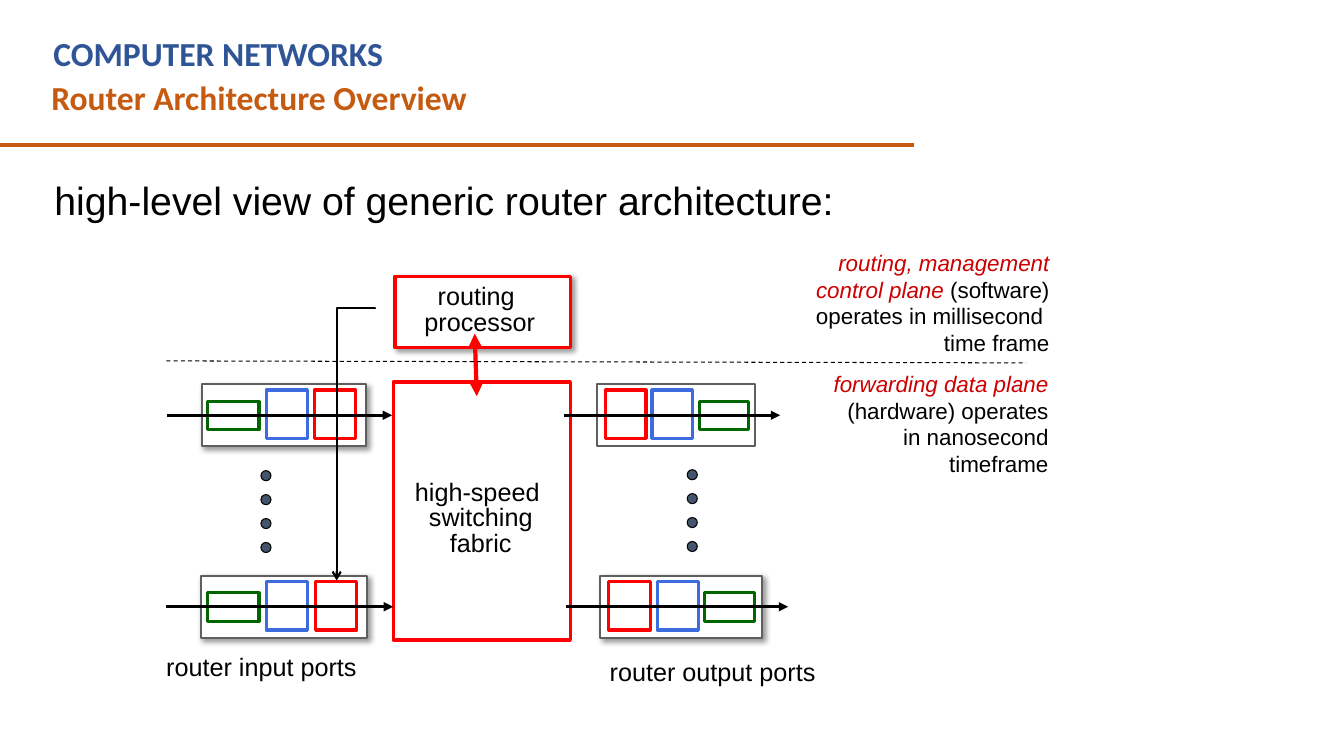
"""Build the router architecture overview slide."""
from dataclasses import dataclass

import lxml.etree
import pptx
import pptx.dml.color
import pptx.enum.dml
import pptx.enum.shapes
import pptx.enum.text
import pptx.oxml.ns
import pptx.shapes.autoshape
import pptx.shapes.connector
import pptx.slide
import pptx.text.text
import pptx.util

Pt = pptx.util.Pt
RGBColor = pptx.dml.color.RGBColor
Align = pptx.enum.text.PP_ALIGN
AutoShape = pptx.enum.shapes.MSO_SHAPE
ConnectorType = pptx.enum.shapes.MSO_CONNECTOR
qn = pptx.oxml.ns.qn

BLACK = RGBColor(0x00, 0x00, 0x00)
WHITE = RGBColor(0xFF, 0xFF, 0xFF)
ORANGE = RGBColor(0xC5, 0x5A, 0x11)
NAVY = RGBColor(0x2F, 0x55, 0x97)
RED = RGBColor(0xFF, 0x00, 0x00)
BLUE = RGBColor(0x3C, 0x6C, 0xDF)
GREEN = RGBColor(0x00, 0x66, 0x00)
GREY = RGBColor(0x5F, 0x5F, 0x5F)
SLATE = RGBColor(0x44, 0x54, 0x6A)
CRIMSON = RGBColor(0xCC, 0x00, 0x00)

DOT_SIZE = 7.2
DOT_STEP = 17.1


@dataclass(frozen=True)
class Box:
    left: float
    top: float
    width: float
    height: float


@dataclass(frozen=True)
class Phrase:
    text: str
    color: RGBColor = BLACK
    italic: bool = False


@dataclass(frozen=True)
class Caption:
    box: Box
    paragraphs: list[list[Phrase]]
    size: float = 18
    align: Align = Align.LEFT
    spacing: float = 1.0
    wrap: bool = False
    font: str = "Arial"
    bold: bool = False


@dataclass(frozen=True)
class Port:
    left: float
    top: float
    width: float
    green: float
    blue: float
    red: float
    green_width: float
    square_width: float
    arrow_start: float
    arrow_end: float
    shadow: bool = True


PORTS = [
    Port(144, 274.3, 117.4, 148.3, 190.1, 224.6, 36.7, 29.5, 119.5, 280.1),
    Port(143.3, 411.1, 118.8, 148.3, 190.1, 225.4, 36.7, 29.5, 118.8, 280.8),
    Port(426.2, 274.3, 113, 499.7, 465.8, 432.7, 35.3, 28.8, 403.2, 557.3, False),
    Port(428.4, 411.1, 115.9, 503.3, 469.4, 434.9, 36, 29.5, 404.6, 563),
]
DOT_COLUMNS = [(186.4, 336.2), (490.9, 335.5)]

HEADING = Caption(Box(31, 20.2, 590.4, 36), [[Phrase("COMPUTER NETWORKS", NAVY)]],
                  24, wrap=True, font="Calibri", bold=True)
TITLE = Caption(Box(29.5, 51.1, 630, 36), [[Phrase("Router Architecture Overview", ORANGE)]],
                24, wrap=True, font="Calibri", bold=True)
LEAD = Caption(Box(31.7, 122.4, 621.4, 41),
               [[Phrase("high-level view of generic router architecture:")]], 28, wrap=True)
FABRIC_LABEL = Caption(Box(288.7, 339.8, 109.4, 62.6),
                       [[Phrase("high-speed ")], [Phrase("switching")], [Phrase("fabric")]],
                       align=Align.CENTER, spacing=0.85)
PROCESSOR_LABEL = Caption(Box(295.9, 200.2, 93.6, 43.9),
                          [[Phrase("routing ")], [Phrase("processor")]],
                          align=Align.CENTER, spacing=0.85)
PORT_LABELS = [
    Caption(Box(111.6, 461.5, 150.5, 28.8), [[Phrase("router input ports")]]),
    Caption(Box(428.4, 465.1, 161.3, 28.8), [[Phrase("router output ports")]]),
]
PLANE_NOTES = [
    Caption(Box(583.9, 260.6, 172.1, 85),
            [[Phrase("forwarding data plane ", CRIMSON, True),
              Phrase("(hardware) operates in nanosecond timeframe")]],
            16, Align.RIGHT, wrap=True),
    Caption(Box(529.9, 174.2, 226.8, 85),
            [[Phrase("routing, management", CRIMSON, True)],
             [Phrase("control plane ", CRIMSON, True), Phrase("(software)")],
             [Phrase("operates in millisecond ")],
             [Phrase("time frame")]],
            16, Align.RIGHT, wrap=True),
]


def place(shape: pptx.shapes.autoshape.Shape, box: Box) -> None:
    shape.left, shape.top = Pt(box.left), Pt(box.top)
    shape.width, shape.height = Pt(box.width), Pt(box.height)


def remove_bullet(paragraph: pptx.text.text._Paragraph) -> None:
    properties = paragraph._p.get_or_add_pPr()
    properties.set("marL", "0")
    properties.set("indent", "0")
    lxml.etree.SubElement(properties, qn("a:buNone"))


def write(shape: pptx.shapes.autoshape.Shape, caption: Caption) -> None:
    place(shape, caption.box)
    frame = shape.text_frame
    frame.word_wrap = caption.wrap
    frame.auto_size = pptx.enum.text.MSO_AUTO_SIZE.SHAPE_TO_FIT_TEXT
    frame.vertical_anchor = pptx.enum.text.MSO_ANCHOR.TOP
    for index, phrases in enumerate(caption.paragraphs):
        paragraph = frame.paragraphs[0] if index == 0 else frame.add_paragraph()
        paragraph.alignment = caption.align
        paragraph.line_spacing = caption.spacing
        paragraph.space_before = Pt(0)
        if shape.is_placeholder:
            remove_bullet(paragraph)
        paragraph.font.name = caption.font
        paragraph.font.size = Pt(caption.size)
        paragraph.font.bold = caption.bold
        for phrase in phrases:
            run = paragraph.add_run()
            run.text = phrase.text
            font = run.font if len(phrases) > 1 else paragraph.font
            font.color.rgb = phrase.color
            font.italic = phrase.italic


def add_caption(slide: pptx.slide.Slide, caption: Caption) -> None:
    write(slide.shapes.add_textbox(0, 0, 0, 0), caption)


def add_block(slide: pptx.slide.Slide, box: Box, line: RGBColor, weight: float = 2.25,
              fill: RGBColor = WHITE, kind: AutoShape = AutoShape.RECTANGLE,
              shadow: bool = False) -> None:
    shape = slide.shapes.add_shape(kind, 0, 0, 0, 0)
    place(shape, box)
    shape.fill.solid()
    shape.fill.fore_color.rgb = fill
    shape.line.color.rgb = line
    shape.line.width = Pt(weight)
    shape.shadow.inherit = False
    if shadow:
        effects = shape._element.spPr.find(qn("a:effectLst"))
        outer = lxml.etree.SubElement(effects, qn("a:outerShdw"), blurRad=str(Pt(4)),
                                      dist=str(Pt(3)), dir="2700000", algn="tl")
        color = lxml.etree.SubElement(outer, qn("a:srgbClr"), val=str(BLACK))
        lxml.etree.SubElement(color, qn("a:alpha"), val="40000")


def add_line(slide: pptx.slide.Slide, start: tuple[float, float], end: tuple[float, float],
             color: RGBColor, weight: float, head: str = "", tail: str = "",
             kind: ConnectorType = ConnectorType.STRAIGHT) -> pptx.shapes.connector.Connector:
    connector = slide.shapes.add_connector(kind, *map(Pt, start + end))
    connector.line.color.rgb = color
    connector.line.width = Pt(weight)
    outline = connector.line._get_or_add_ln()
    for tag, arrow in (("a:headEnd", head), ("a:tailEnd", tail)):
        if arrow:
            lxml.etree.SubElement(outline, qn(tag), type=arrow)
    lxml.etree.SubElement(connector._element.spPr, qn("a:effectLst"))
    return connector


def add_port(slide: pptx.slide.Slide, port: Port) -> None:
    add_block(slide, Box(port.left, port.top, port.width, 44.6), GREY, 1.5, shadow=port.shadow)
    add_block(slide, Box(port.green, port.top + 12.4, port.green_width, 20.2), GREEN)
    for left, color in ((port.blue, BLUE), (port.red, RED)):
        add_block(slide, Box(left, port.top + 4.3, port.square_width, 34.6), color)
    middle = port.top + 22.3
    add_line(slide, (port.arrow_start, middle), (port.arrow_end, middle), BLACK, 2.25,
             tail="triangle")


def add_processor_path(slide: pptx.slide.Slide) -> None:
    connector = add_line(slide, (157, 303.8), (351.4, 331.2), BLACK, 1.5, tail="arrow",
                         kind=ConnectorType.ELBOW)
    properties = connector._element.spPr
    properties.find(qn("a:xfrm")).set("rot", "5400000")
    adjustments = properties.find(qn("a:prstGeom")).get_or_add_avLst()
    lxml.etree.SubElement(adjustments, qn("a:gd"), name="adj1", fmla="val -100")


def main() -> None:
    presentation = pptx.Presentation()
    presentation.slide_width, presentation.slide_height = Pt(960), Pt(540)
    slide = presentation.slides.add_slide(presentation.slide_layouts[1])
    write(slide.shapes.title, TITLE)
    write(slide.placeholders[1], LEAD)
    add_line(slide, (-0.7, 103.7), (653, 103.7), ORANGE, 3)
    add_caption(slide, HEADING)
    add_block(slide, Box(280.8, 272.9, 126.7, 184.3), RED)
    add_caption(slide, FABRIC_LABEL)
    add_block(slide, Box(282.2, 197.3, 125.3, 51.1), RED, shadow=True)
    add_caption(slide, PROCESSOR_LABEL)
    add_line(slide, (339.1, 238.3), (340.6, 283), RED, 3, "triangle", "triangle")
    for port in PORTS:
        add_port(slide, port)
    for left, top in DOT_COLUMNS:
        for index in range(4):
            add_block(slide, Box(left, top + index * DOT_STEP, DOT_SIZE, DOT_SIZE), BLACK, 0.75,
                      SLATE, AutoShape.OVAL)
    plane_divider = add_line(slide, (118.8, 257.8), (733, 259.2), BLACK, 0.75)
    plane_divider.line.dash_style = pptx.enum.dml.MSO_LINE.DASH
    for caption in PORT_LABELS + PLANE_NOTES:
        add_caption(slide, caption)
    add_processor_path(slide)
    presentation.save("out.pptx")


if __name__ == "__main__":
    main()
